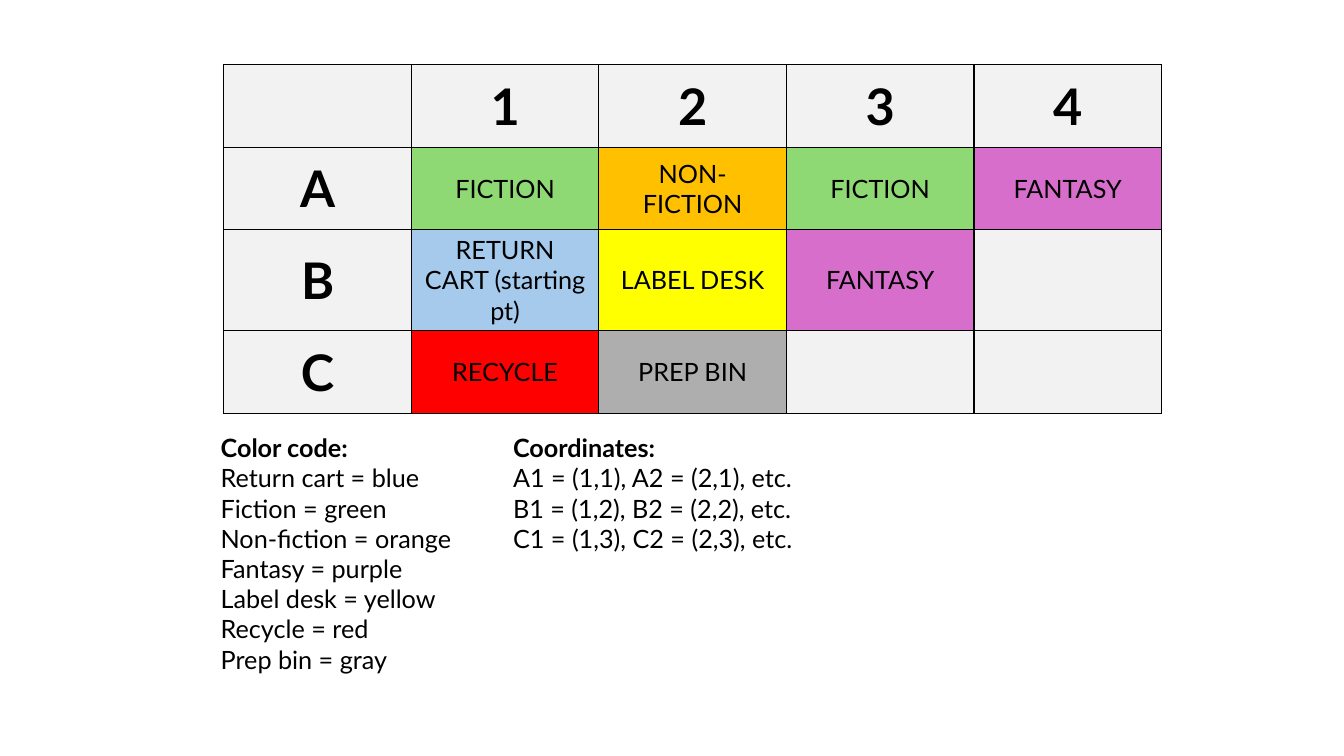
from lxml.etree import SubElement
from pptx import Presentation
from pptx.dml.color import RGBColor
from pptx.enum.text import MSO_ANCHOR as Anchor, MSO_AUTO_SIZE as AutoSize, PP_ALIGN as Align
from pptx.oxml.ns import qn
from pptx.util import Inches, Pt

BLACK = RGBColor(0x00, 0x00, 0x00)
PALE = RGBColor(0xF2, 0xF2, 0xF2)
GREEN = RGBColor(0x8E, 0xD9, 0x73)
ORANGE = RGBColor(0xFF, 0xC0, 0x00)
PURPLE = RGBColor(0xD8, 0x6E, 0xCC)
BLUE = RGBColor(0xA6, 0xCA, 0xEC)
YELLOW = RGBColor(0xFF, 0xFF, 0x00)
RED = RGBColor(0xFF, 0x00, 0x00)
GRAY = RGBColor(0xAE, 0xAE, 0xAE)

FONT = "Lato"
HEADING_SIZE, BODY_SIZE = 36, 18
GRID_LEFT, GRID_TOP = 2.22, 0.64
COLUMN_WIDTH, ROW_HEIGHT = 1.86, 0.82
NOTES_TOP = 4.24

LOCATIONS = [
    ["", "1", "2", "3", "4"],
    ["A", "FICTION", "NON-FICTION", "FICTION", "FANTASY"],
    ["B", "RETURN CART (starting pt)", "LABEL DESK", "FANTASY", ""],
    ["C", "RECYCLE", "PREP BIN", "", ""],
]
FILLS = {
    "FICTION": GREEN,
    "NON-FICTION": ORANGE,
    "FANTASY": PURPLE,
    "RETURN CART (starting pt)": BLUE,
    "LABEL DESK": YELLOW,
    "RECYCLE": RED,
    "PREP BIN": GRAY,
}
NOTES = [
    (4.99, 4.85, 1.62, [
        "Coordinates:",
        "A1 = (1,1), A2 = (2,1), etc.",
        "B1 = (1,2), B2 = (2,2), etc.",
        "C1 = (1,3), C2 = (2,3), etc.",
    ]),
    (2.09, 4.39, 2.83, [
        "Color code:",
        "Return cart = blue",
        "Fiction = green",
        "Non-fiction = orange",
        "Fantasy = purple",
        "Label desk = yellow",
        "Recycle = red",
        "Prep bin = gray",
    ]),
]


def style(para, size, bold):
    para.font.size = Pt(size)
    for span in para.runs:
        span.font.name = FONT
        span.font.size = Pt(size)
        span.font.bold = bold
        span.font.color.rgb = BLACK


def add_borders(cell):
    properties = cell._tc.get_or_add_tcPr()
    for side in ("a:lnL", "a:lnR", "a:lnT", "a:lnB"):
        line = SubElement(properties, qn(side), w=str(Pt(1)))
        fill = SubElement(line, qn("a:solidFill"))
        SubElement(fill, qn("a:srgbClr"), val=str(BLACK))


def add_grid(page):
    rows, columns = len(LOCATIONS), len(LOCATIONS[0])
    frame = page.shapes.add_table(
        rows, columns, Inches(GRID_LEFT), Inches(GRID_TOP),
        Inches(columns * COLUMN_WIDTH), Inches(rows * ROW_HEIGHT))
    table = frame.table
    table.first_row = table.horz_banding = False
    for column in table.columns:
        column.width = Inches(COLUMN_WIDTH)
    for row in table.rows:
        row.height = Inches(ROW_HEIGHT)
    for r, labels in enumerate(LOCATIONS):
        for c, label in enumerate(labels):
            cell = table.cell(r, c)
            add_borders(cell)
            cell.fill.solid()
            cell.fill.fore_color.rgb = FILLS.get(label, PALE)
            cell.vertical_anchor = Anchor.MIDDLE
            cell.text_frame.text = label
            para = cell.text_frame.paragraphs[0]
            para.alignment = Align.CENTER
            heading = bool(label) and (r == 0 or c == 0)
            style(para, HEADING_SIZE if heading else BODY_SIZE, heading)


def add_note(page, left, width, height, lines):
    box = page.shapes.add_textbox(
        Inches(left), Inches(NOTES_TOP), Inches(width), Inches(height))
    box.text_frame.word_wrap = True
    box.text_frame.auto_size = AutoSize.SHAPE_TO_FIT_TEXT
    box.text_frame.text = "\n".join(lines)
    for index, para in enumerate(box.text_frame.paragraphs):
        style(para, BODY_SIZE, index == 0)


def main():
    """Build the library map slide with its grid and notes."""
    deck = Presentation()
    deck.slide_width, deck.slide_height = Inches(13.33), Inches(7.5)
    page = deck.slides.add_slide(deck.slide_layouts[6])
    add_grid(page)
    for note in NOTES:
        add_note(page, *note)
    deck.save("out.pptx")


if __name__ == "__main__":
    main()
